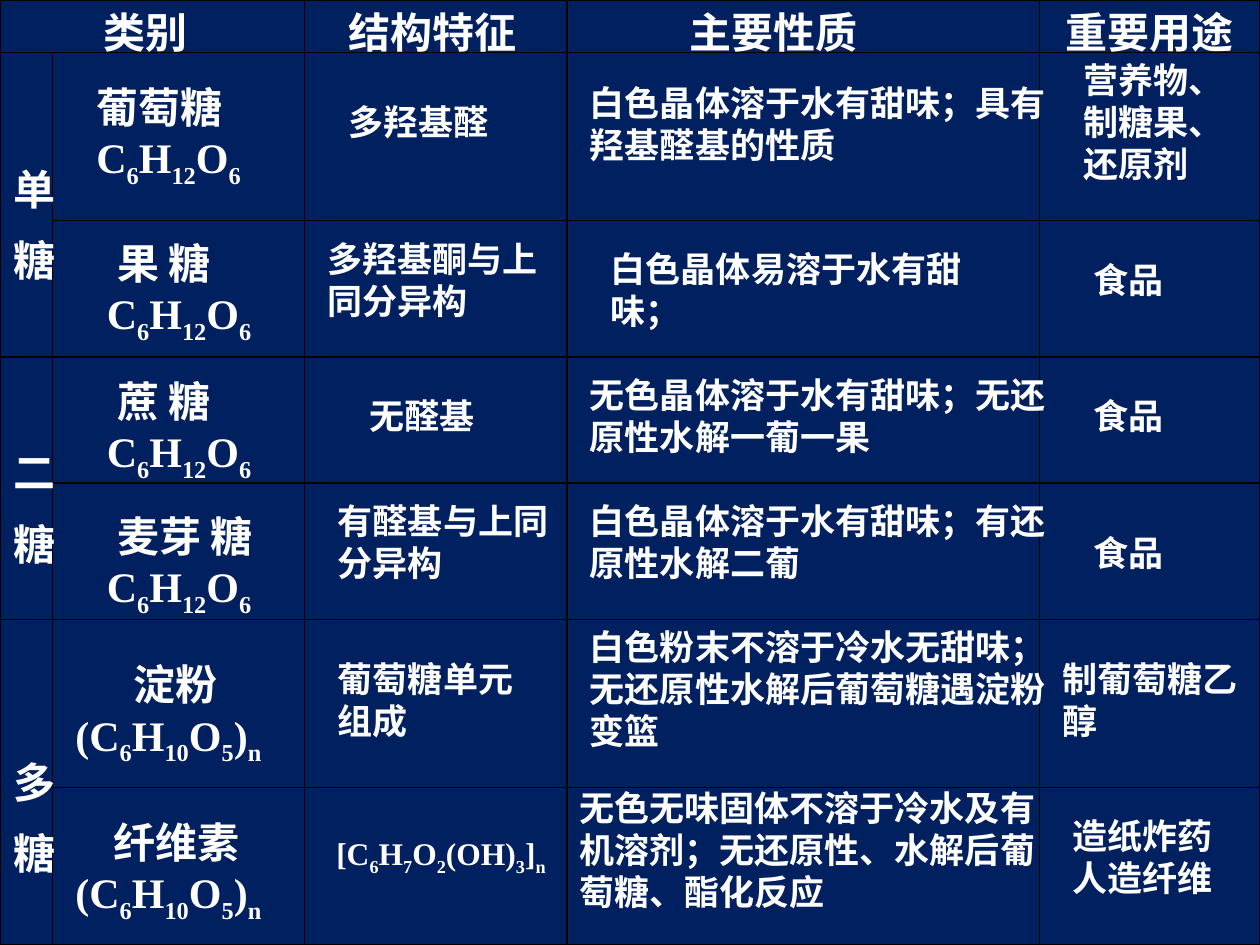
from itertools import groupby
from pptx import Presentation
from pptx.dml.color import RGBColor as RGB
from pptx.enum.shapes import MSO_CONNECTOR as CONN, MSO_SHAPE as SHAPE
from pptx.enum.text import PP_ALIGN as ALIGN
from pptx.oxml.ns import qn
from pptx.util import Pt
from lxml.etree import SubElement

THEME = {
    "bg": RGB(0x00, 0x20, 0x60),
    "line": RGB(0, 0, 0),
    "text": RGB(255, 255, 255),
    "font": "Times New Roman",
    "head": 24,
    "body": 20,
    "formula": 18,
}
W, H = 720, 540

prs = Presentation()
prs.slide_width, prs.slide_height = Pt(W), Pt(H)
s = prs.slides.add_slide(prs.slide_layouts[6])
s.background.fill.solid()
s.background.fill.fore_color.rgb = THEME["bg"]


def add_line(x1, y1, x2, y2):
    ln = s.shapes.add_connector(CONN.STRAIGHT, Pt(x1), Pt(y1), Pt(x2), Pt(y2))
    ln.line.color.rgb = THEME["line"]
    ln.line.width = Pt(1)
    SubElement(ln._element.spPr, qn("a:effectLst"))


def add_text(x, y, w, h, text, size, indent=0, align=ALIGN.LEFT):
    tf = s.shapes.add_textbox(Pt(x), Pt(y), Pt(w), Pt(h)).text_frame
    tf.word_wrap = True
    p = tf.paragraphs[0]
    p.alignment = align
    if indent:
        p._p.get_or_add_pPr().set("indent", str(Pt(indent)))
    for low, chars in groupby(text, lambda c: c in "0123456789n"):
        r = p.add_run()
        r.text = "".join(chars)
        fmt = {"name": THEME["font"], "size": Pt(THEME[size]), "bold": True}
        for key, value in fmt.items():
            setattr(r.font, key, value)
        r.font.color.rgb = THEME["text"]
        if low:
            r.font._element.set("baseline", "-25000")
    return tf


frame = s.shapes.add_shape(SHAPE.RECTANGLE, 0, 0, Pt(W), Pt(H))
frame.shadow.inherit = False
frame.fill.background()
frame.line.color.rgb = THEME["line"]
frame.line.width = Pt(1)

for y, left in [(30, 0), (126, 30), (204, 0), (276, 30), (354, 0), (450, 30)]:
    add_line(left, y, W, y)
for x, top in [(30, 30), (174, 0), (324, 0), (594, 0)]:
    add_line(x, top, x, H)

headers = [
    (24, 126, "类别", 28, ALIGN.LEFT),
    (186, 126, "结构特征", 6, ALIGN.LEFT),
    (348, 246, "主要性质", 39, ALIGN.LEFT),
    (594, 126, "重要用途", 0, ALIGN.CENTER),
]
for x, w, text, indent, align in headers:
    add_text(x, 0, w, 36, text, "head", indent, align)

for y, first, indent in [(60, "单", 29), (222, "二", 29), (402, "多", 26)]:
    tf = add_text(-6, y, 43, 120, first, "head", indent)
    tf._txBody.bodyPr.set("vert", "eaVert")
    margins = {"margin_left": 3.6, "margin_right": 3.6, "margin_top": 7.2, "margin_bottom": 7.2}
    for key, value in margins.items():
        setattr(tf, key, Pt(value))
    p = tf.paragraphs[0]
    r = p.add_run()
    r.text = "糖"
    for key, value in {"name": THEME["font"], "size": Pt(THEME["head"]), "bold": True}.items():
        setattr(r.font, key, value)
    r.font.color.rgb = THEME["text"]
    p.runs[0].font._element.set("spc", "1680")

sugars = [
    (48, 43, 114, "葡萄糖C6H12O6", 0),
    (54, 132, 114, "果 糖C6H12O6", 6),
    (54, 211, 114, "蔗 糖C6H12O6", 6),
    (54, 288, 114, "麦芽 糖C6H12O6", 6),
    (36, 373, 162, "淀粉(C6H10O5)n", 33),
    (36, 463, 162, "纤维素(C6H10O5)n", 22),
]
for x, y, w, text, indent in sugars:
    add_text(x, y, w, 69, text, "head", indent)

details = [
    (192, 54, 132, 32, "多羟基醛"),
    (330, 43, 276, 55, "白色晶体溶于水有甜味；具有羟基醛基的性质"),
    (612, 30, 96, 79, "营养物、制糖果、还原剂"),
    (180, 132, 150, 55, "多羟基酮与上同分异构"),
    (342, 138, 222, 55, "白色晶体易溶于水有甜味；"),
    (618, 144, 90, 32, "食品"),
    (204, 222, 132, 32, "无醛基"),
    (330, 210, 276, 55, "无色晶体溶于水有甜味；无还原性水解一葡一果"),
    (618, 222, 90, 32, "食品"),
    (186, 282, 150, 55, "有醛基与上同分异构"),
    (330, 282, 276, 55, "白色晶体溶于水有甜味；有还原性水解二葡"),
    (618, 300, 90, 32, "食品"),
    (186, 372, 120, 55, "葡萄糖单元组成"),
    (330, 354, 276, 79, "白色粉末不溶于冷水无甜味；无还原性水解后葡萄糖遇淀粉变篮"),
    (600, 372, 120, 55, "制葡萄糖乙醇"),
    (324, 446, 293, 79, "无色无味固体不溶于冷水及有机溶剂；无还原性、水解后葡萄糖、酯化反应"),
    (606, 462, 113, 55, "造纸炸药人造纤维"),
]
for x, y, w, h, text in details:
    add_text(x, y, w, h, text, "body")
add_text(162, 473, 180, 32, "[C6H7O2(OH)3]n", "formula", align=ALIGN.CENTER)

prs.save("out.pptx")
